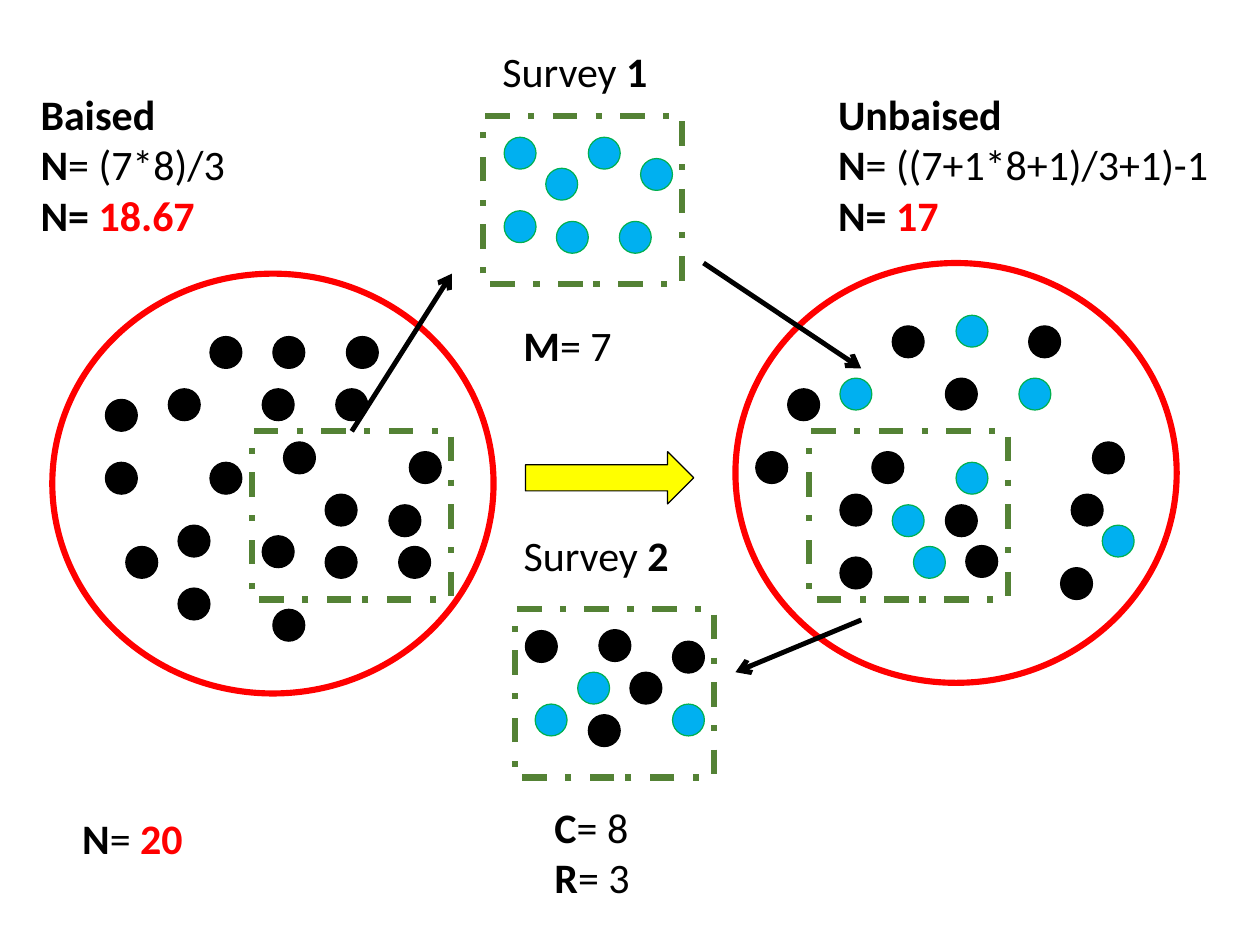
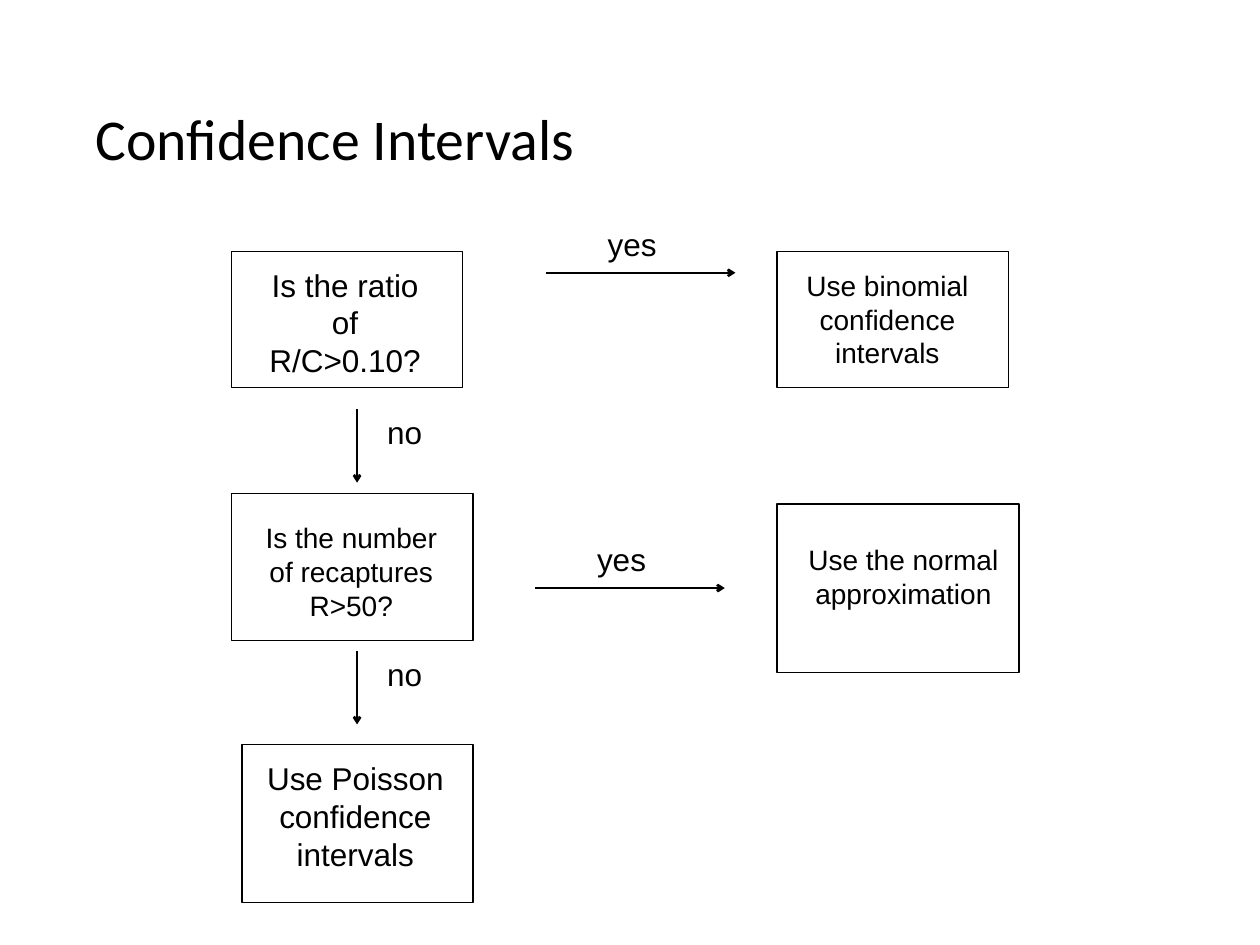
from lxml import etree
from pptx import Presentation
from pptx import util as u
from pptx.dml.color import RGBColor
from pptx.enum import dml, shapes, text
from pptx.oxml.ns import qn

BLACK = RGBColor(0x00, 0x00, 0x00)
RED = RGBColor(0xFF, 0x00, 0x00)
YELLOW = RGBColor(0xFF, 0xFF, 0x00)
BLUE = RGBColor(0x00, 0xB0, 0xF0)
GREEN = RGBColor(0x00, 0xB0, 0x50)
OLIVE = RGBColor(0x54, 0x82, 0x35)

PX = 9144  # 100 px to the inch
SLIDE = (1422, 1067)
DOT = 36
CIRCLE = (498, 474)
QUADRAT = (225, 190)
LABEL_SIZE = 34.1
TITLE_SIZE = 46.9
LARGE, SMALL = 25.6, 22.8

PLAIN = {"bold": False, "color": BLACK}
BOLD = {"bold": True, "color": BLACK}
RESULT = {"bold": True, "color": RED}

# Dot positions, from the top left of the circle or quadrat around them
UNMARKED_POPULATION = [
    (178, 71), (249, 71), (332, 71), (131, 130), (237, 130), (320, 130),
    (60, 142), (261, 190), (403, 201), (60, 213), (178, 213), (308, 249),
    (380, 261), (142, 284), (237, 296), (83, 308), (308, 308), (391, 308),
    (142, 355), (249, 379)]
MIXED_UNMARKED = [
    (177, 71), (331, 71), (237, 130), (59, 142), (403, 202), (23, 213),
    (154, 213), (118, 261), (379, 261), (237, 273), (260, 319), (118, 332),
    (367, 344)]
MIXED_MARKED = [
    (249, 59), (118, 130), (320, 130), (249, 225), (177, 273), (414, 296),
    (201, 320)]
FIRST_CATCH = [
    (24, 24), (119, 24), (178, 48), (71, 59), (24, 107), (83, 119), (154, 119)]
SECOND_UNMARKED = [(12, 24), (95, 23), (178, 36), (130, 71), (83, 119)]
SECOND_MARKED = [(71, 71), (23, 107), (178, 107)]


def emu(*lengths):
    return [u.Emu(length * PX) for length in lengths]


def apply(target, formats):
    for name, value in formats.items():
        if name == "color":
            target.color.rgb = value
        else:
            setattr(target, name, value)


def add_figure(slide, kind, box, line, weight, fill=None, dash=None):
    figure = slide.shapes.add_shape(kind, *emu(*box))
    figure.shadow.inherit = False
    if fill is None:
        figure.fill.background()
    else:
        figure.fill.solid()
        figure.fill.fore_color.rgb = fill
    apply(figure.line, {"width": u.Pt(weight), "dash_style": dash})
    figure.line.color.rgb = line
    return figure


def add_arrow(slide, start, end, weight):
    arrow = slide.shapes.add_connector(
        shapes.MSO_CONNECTOR.STRAIGHT, *emu(*start, *end))
    arrow.line.color.rgb = BLACK
    arrow.line.width = u.Pt(weight)
    properties = arrow.element.spPr
    etree.SubElement(properties.find(qn("a:ln")), qn("a:tailEnd"), type="arrow")
    etree.SubElement(properties, qn("a:effectLst"))


def add_label(slide, box, paragraphs, size=LABEL_SIZE, font="Calibri"):
    frame = slide.shapes.add_textbox(*emu(*box)).text_frame
    frame.word_wrap = True
    for index, spans in enumerate(paragraphs):
        para = frame.add_paragraph() if index else frame.paragraphs[0]
        for words, formats in spans:
            span = para.add_run()
            span.text = words
            apply(span.font, {"name": font, "size": u.Pt(size), **formats})


def add_dots(slide, left, top, places, marked=False):
    fill, line = (BLUE, GREEN) if marked else (BLACK, BLACK)
    for x, y in places:
        add_figure(slide, shapes.MSO_SHAPE.OVAL,
                   (left + x, top + y, DOT, DOT), line, 1, fill)


def add_quadrat(slide, left, top):
    add_figure(slide, shapes.MSO_SHAPE.RECTANGLE, (left, top, *QUADRAT),
               OLIVE, 5, dash=dml.MSO_LINE.DASH_DOT)


def add_population(slide, left, top, quadrat, unmarked, marked=()):
    add_figure(slide, shapes.MSO_SHAPE.OVAL, (left, top, *CIRCLE), RED, 5)
    add_dots(slide, left, top, unmarked)
    add_dots(slide, left, top, marked, marked=True)
    add_quadrat(slide, left + quadrat[0], top + quadrat[1])


def add_survey(slide, left, top, unmarked, marked):
    add_quadrat(slide, left, top)
    add_dots(slide, left, top, unmarked)
    add_dots(slide, left, top, marked, marked=True)


def add_estimate(slide, left, top, heading, formula, result):
    add_label(slide, (left, top, 480, 182), [
        [(heading, BOLD)],
        [("N", BOLD), (formula, PLAIN)],
        [("N= ", BOLD), (result, RESULT)]])


def build_survey_slide(deck):
    slide = deck.slides.add_slide(deck.slide_layouts[6])

    # Populations and the two samples between them
    add_population(slide, 59, 309, (225, 178), UNMARKED_POPULATION)
    add_population(slide, 830, 297, (83, 190), MIXED_UNMARKED, MIXED_MARKED)
    add_survey(slide, 545, 131, [], FIRST_CATCH)
    add_survey(slide, 581, 688, SECOND_UNMARKED, SECOND_MARKED)

    # Arrows
    add_figure(slide, shapes.MSO_SHAPE.RIGHT_ARROW, (593, 510, 190, 59),
               BLACK, 1, YELLOW)
    for start, end in [((397, 487), (510, 309)), ((794, 297), (972, 416)),
                       ((972, 700), (830, 759))]:
        add_arrow(slide, start, end, 4)

    # Survey names and counts
    for left, top, number in [(557, 47, "1"), (581, 593, "2")]:
        add_label(slide, (left, top, 261, 68),
                  [[("Survey ", PLAIN), (number, BOLD)]])
    add_label(slide, (581, 356, 130, 68), [[("M", BOLD), ("= 7", PLAIN)]])
    add_label(slide, (616, 900, 130, 125), [
        [("C", BOLD), ("= 8", PLAIN)], [("R", BOLD), ("= 3", PLAIN)]])
    add_label(slide, (83, 913, 166, 68),
              [[("N", BOLD), ("= ", PLAIN), ("20", RESULT)]])

    # Estimates
    add_estimate(slide, 36, 95, "Baised", "= (7*8)/3", "18.67")
    add_estimate(slide, 936, 95, "Unbaised", "= ((7+1*8+1)/3+1)-1", "17")


def add_title(slide, box, words):
    title = slide.shapes.title
    left, top, width, height = emu(*box)
    apply(title, {"left": left, "top": top, "width": width, "height": height})
    frame = title.text_frame
    frame.text = words
    apply(frame, {"auto_size": text.MSO_AUTO_SIZE.NONE, "word_wrap": True,
                  "vertical_anchor": text.MSO_ANCHOR.MIDDLE})
    para = frame.paragraphs[0]
    apply(para, {"alignment": text.PP_ALIGN.LEFT, "line_spacing": 0.9})
    apply(para.font, {"name": "Calibri", "size": u.Pt(TITLE_SIZE), **PLAIN})


def add_step(slide, box, margins, words, size):
    step = add_figure(slide, shapes.MSO_SHAPE.RECTANGLE, box, BLACK, 1)
    frame = step.text_frame
    left, top, right = emu(*margins)
    frame.text = words
    apply(frame, {"margin_left": left, "margin_top": top,
                  "margin_right": right, "margin_bottom": 0,
                  "word_wrap": True, "vertical_anchor": text.MSO_ANCHOR.TOP})
    para = frame.paragraphs[0]
    para.alignment = text.PP_ALIGN.CENTER
    apply(para.font, {"name": "Arial", "size": u.Pt(size), **PLAIN})


def add_branch(slide, left, top, answer):
    """Draw an arrow from (left, top): right for yes, down for no."""
    if answer == "yes":
        end, label = (left + 214, top), (left + 60, top - 59)
    else:
        end, label = (left, top + 83), (left + 24, top)
    add_arrow(slide, (left, top), end, 2)
    add_label(slide, (*label, 130, 53), [[(answer, PLAIN)]], LARGE, "Arial")


def build_interval_slide(deck):
    slide = deck.slides.add_slide(deck.slide_layouts[5])
    add_title(slide, (98, 57, 1227, 206), "Confidence Intervals")

    # Questions and outcomes: box, left/top/right margins, words, size
    steps = [
        ((261, 284, 261, 154), (33, 16, 37),
         "Is the ratio of R/C>0.10?", LARGE),
        ((877, 284, 261, 154), (22, 19, 34),
         "Use binomial confidence intervals", SMALL),
        ((261, 557, 273, 166), (33, 31, 35),
         "Is the number of recaptures R>50?", SMALL),
        ((877, 569, 273, 190), (22, 44, 10),
         "Use the normal approximation", SMALL),
        ((273, 841, 261, 178), (21, 16, 26),
         "Use Poisson confidence intervals", LARGE)]
    for step in steps:
        add_step(slide, *step)

    # Answers
    for left, top, answer in [(616, 308, "yes"), (403, 462, "no"),
                              (604, 664, "yes"), (403, 735, "no")]:
        add_branch(slide, left, top, answer)


def main():
    deck = Presentation()
    deck.slide_width, deck.slide_height = emu(*SLIDE)
    build_survey_slide(deck)
    build_interval_slide(deck)
    deck.save("out.pptx")


if __name__ == "__main__":
    main()
